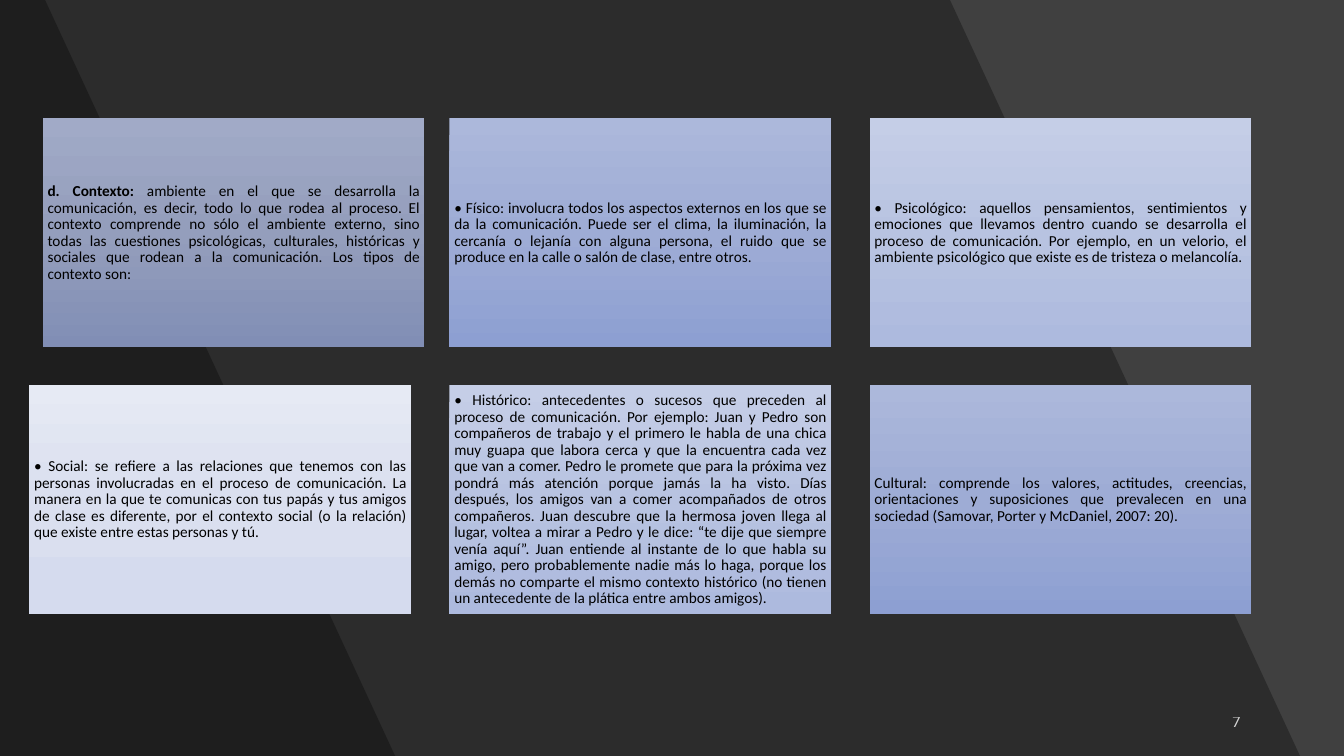
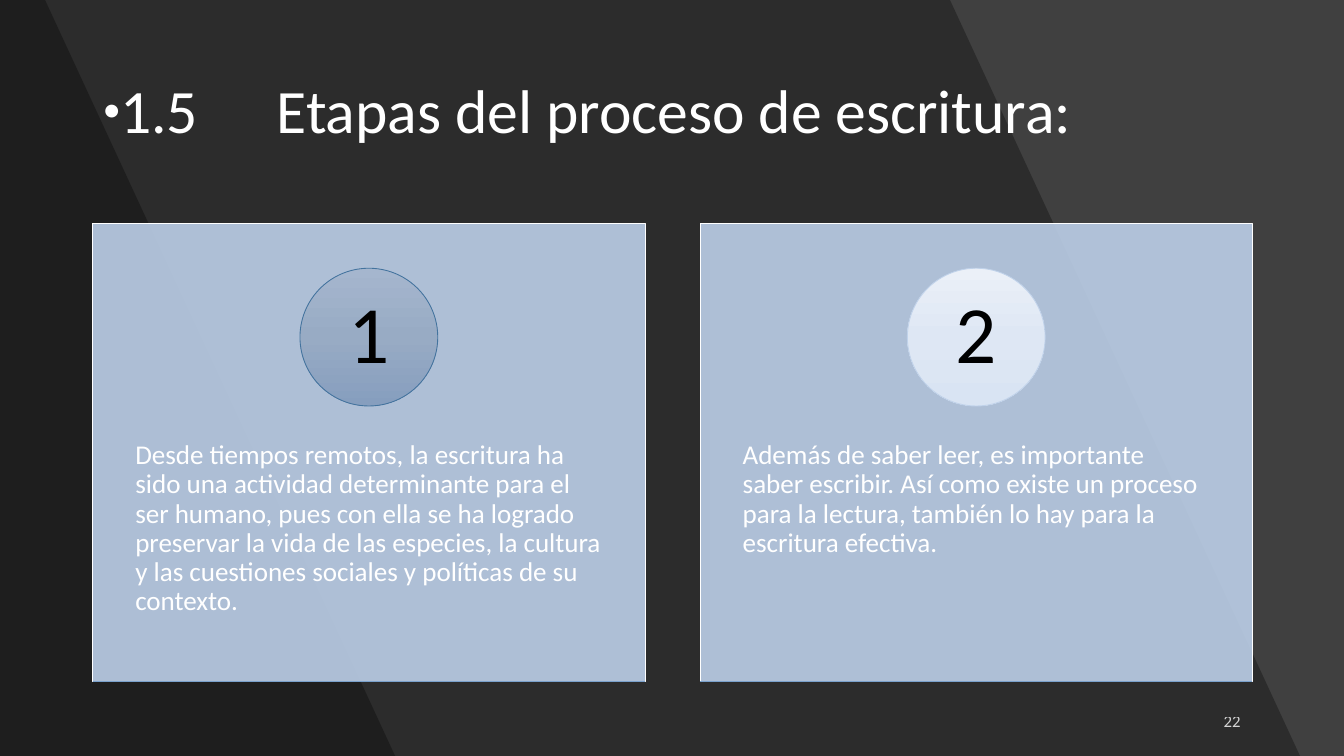
"""Builds two dark slides: context types and the stages of writing."""
from dataclasses import dataclass

from lxml import etree
from pptx import Presentation
from pptx import util as u
from pptx.dml.color import RGBColor
from pptx.enum import shapes, text
from pptx.oxml.ns import qn


@dataclass(frozen=True)
class Theme:
    font: str = "Calibri"
    back: str = "404040"
    white: str = "FFFFFF"
    black: str = "000000"
    panel: str = "BDD0E9"
    rule: str = "7AA1CC"
    title: float = 36.4
    digit: float = 48
    body: float = 16
    note: float = 9
    page: float = 9.9


T = Theme()
WIDE, HIGH = 11.02, 6.2
SLANT = 2.87
BANDS = (7.79, 0.37)
RIGHT = 10.27

SLATE = ("A1AAC7", "949EBC", "818EB5")
BLUE = ("ACB8DB", "9EACD5", "8D9FD2")
PALE = ("C5CEE7", "B8C3E1", "ADBADE")
MIST = ("E6EAF4", "DADFEF", "D5DBEE")

CARDS = [
    (SLATE, "d. Contexto: ", "ambiente en el que se desarrolla la comunicación, es decir, todo lo que rodea al proceso. El contexto comprende no sólo el ambiente externo, sino todas las cuestiones psicológicas, culturales, históricas y sociales que rodean a la comunicación. Los tipos de contexto son:"),
    (BLUE, "", "• Físico: involucra todos los aspectos externos en los que se da la comunicación. Puede ser el clima, la iluminación, la cercanía o lejanía con alguna persona, el ruido que se produce en la calle o salón de clase, entre otros."),
    (PALE, "", "• Psicológico: aquellos pensamientos, sentimientos y emociones que llevamos dentro cuando se desarrolla el proceso de comunicación. Por ejemplo, en un velorio, el ambiente psicológico que existe es de tristeza o melancolía."),
    (MIST, "", "• Social: se refiere a las relaciones que tenemos con las personas involucradas en el proceso de comunicación. La manera en la que te comunicas con tus papás y tus amigos de clase es diferente, por el contexto social (o la relación) que existe entre estas personas y tú."),
    (PALE, "", "• Histórico: antecedentes o sucesos que preceden al proceso de comunicación. Por ejemplo: Juan y Pedro son compañeros de trabajo y el primero le habla de una chica muy guapa que labora cerca y que la encuentra cada vez que van a comer. Pedro le promete que para la próxima vez pondrá más atención porque jamás la ha visto. Días después, los amigos van a comer acompañados de otros compañeros. Juan descubre que la hermosa joven llega al lugar, voltea a mirar a Pedro y le dice: “te dije que siempre venía aquí”. Juan entiende al instante de lo que habla su amigo, pero probablemente nadie más lo haga, porque los demás no comparte el mismo contexto histórico (no tienen un antecedente de la plática entre ambos amigos)."),
    (BLUE, "", "Cultural: comprende los valores, actitudes, creencias, orientaciones y suposiciones que prevalecen en una sociedad (Samovar, Porter y McDaniel, 2007: 20)."),
]
TITLE = "1.5\tEtapas del proceso de escritura:"
STAGES = [
    ("1", ("A5B6CE", "98ABC4", "869EBE"), "43739E", "Desde tiempos remotos, la escritura ha sido una actividad determinante para el ser humano, pues con ella se ha logrado preservar la vida de las especies, la cultura y las cuestiones sociales y políticas de su contexto."),
    ("2", ("EBF0F8", "DEE7F4", "D9E4F3"), "C0D2EA", "Además de saber leer, es importante saber escribir. Así como existe un proceso para la lectura, también lo hay para la escritura efectiva."),
]


def rgb(code):
    return RGBColor.from_string(code)


def inch(*nums):
    return [u.Inches(n) for n in nums]


def fade(item, share):
    """Sets the opacity of the solid colour in an element."""
    tone = next(item.iter(qn("a:srgbClr")))
    etree.SubElement(tone, qn("a:alpha"), val=str(share * 1000))


def paint(shape, fill, line=None, alpha=None):
    """Gives a shape a plain or three-stop fill and an optional line."""
    shape.shadow.inherit = False
    if isinstance(fill, str):
        shape.fill.solid()
        shape.fill.fore_color.rgb = rgb(fill)
        if alpha:
            fade(shape._element.spPr.find(qn("a:solidFill")), alpha)
    else:
        shape.fill.gradient()
        shape.fill.gradient_angle = 270
        stops = next(shape._element.spPr.iter(qn("a:gsLst")))
        for old in list(stops):
            stops.remove(old)
        for i, code in enumerate(fill):
            stop = etree.SubElement(stops, qn("a:gs"), pos=str(i * 50000))
            etree.SubElement(stop, qn("a:srgbClr"), val=code)
    if line:
        shape.line.color.rgb = rgb(line)
        shape.line.width = u.Pt(0.5)
    else:
        shape.line.fill.background()
    return shape


def write(shape, words, size, color=T.white, lead="", align="LEFT",
          anchor="MIDDLE", inset=(0.1, 0.05), alpha=None, gap=0.9, bullet=None):
    """Writes one formatted paragraph, with an optional bold lead."""
    frame = shape.text_frame
    frame.word_wrap = True
    frame.vertical_anchor = getattr(text.MSO_ANCHOR, anchor)
    frame.margin_left = frame.margin_right = u.Inches(inset[0])
    frame.margin_top = frame.margin_bottom = u.Inches(inset[1])
    para = frame.paragraphs[0]
    para.alignment = getattr(text.PP_ALIGN, align)
    para.line_spacing = gap
    if bullet:
        mark, share, stop = bullet
        props = para._p.get_or_add_pPr()
        props.set("marL", "0")
        props.set("indent", "0")
        etree.SubElement(props, qn("a:buSzPct"), val=str(share * 1000))
        etree.SubElement(props, qn("a:buFont"), typeface=T.font)
        etree.SubElement(props, qn("a:buChar"), char=mark)
        tabs = etree.SubElement(props, qn("a:tabLst"))
        etree.SubElement(tabs, qn("a:tab"), pos=str(u.Inches(stop)), algn="l")
    for part, bold in ((lead, True), (words, False)):
        if part:
            run = para.add_run()
            run.text = part
            run.font.name, run.font.size = T.font, u.Pt(size)
            run.font.bold = bold
            run.font.color.rgb = rgb(color)
            if alpha:
                fade(run._r, alpha)


def base(deck, page):
    """Adds a slide with its slanted bands and page number."""
    slide = deck.slides.add_slide(deck.slide_layouts[6])
    slide.background.fill.solid()
    slide.background.fill.fore_color.rgb = rgb(T.back)
    for top in BANDS:
        pen = slide.shapes.build_freeform(0, 0)
        ends = [(top, 0), (top + SLANT, HIGH), (0, HIGH)]
        pen.add_line_segments([inch(*end) for end in ends], close=True)
        paint(pen.convert_to_shape(), T.black, alpha=30)
    box = slide.shapes.add_textbox(*inch(RIGHT - 2.48, 5.75, 2.48, 0.33))
    write(box, page, T.page, align="RIGHT", alpha=80, gap=1)
    return slide.shapes


def types(deck):
    """Lays out the context cards in a grid of three columns."""
    area = base(deck, "7")
    wide, high = 3.13, 1.88
    for i, (fill, lead, words) in enumerate(CARDS):
        row, col = divmod(i, 3)
        left = 0.24 + col * 3.445 + (0.11 if lead else 0)
        spot = inch(left, 0.97 + row * 2.19, wide, high)
        card = area.add_shape(shapes.MSO_SHAPE.RECTANGLE, *spot)
        write(paint(card, fill), words, T.note, T.black, lead=lead,
              align="JUSTIFY", inset=(0.04, 0.04))


def stages(deck):
    """Lays out the title and one numbered panel for each stage."""
    area = base(deck, "22")
    write(area.add_textbox(*inch(0.75, 0.33, 9.51, 1.2)), TITLE, T.title,
          bullet=("●", 45, 1.42))
    wide, high, top, disc = 4.53, 3.76, 1.83, 1.13
    foot = top + high
    for i, (digit, fill, edge, words) in enumerate(STAGES):
        left = 0.76 + i * 4.98
        panel = area.add_shape(shapes.MSO_SHAPE.RECTANGLE, *inch(left, top, wide, high))
        paint(panel, T.panel, T.white, 90)
        box = area.add_textbox(*inch(left, 3.26, wide, 2.25))
        write(box, words, T.body, anchor="TOP", inset=(0.35, 0.36))
        spot = inch(left + (wide - disc) / 2, 2.2, disc, disc)
        badge = area.add_shape(shapes.MSO_SHAPE.OVAL, *spot)
        write(paint(badge, fill, edge), digit, T.digit, T.black,
              align="CENTER", inset=(0.09, 0.01))
        rule = area.add_connector(shapes.MSO_CONNECTOR.STRAIGHT,
                                  *inch(left, foot, left + wide, foot))
        rule.line.color.rgb = rgb(T.rule)
        rule.line.width = u.Pt(0.5)
        etree.SubElement(rule._element.spPr, qn("a:effectLst"))


def main():
    """Builds and saves the deck."""
    deck = Presentation()
    deck.slide_width, deck.slide_height = inch(WIDE, HIGH)
    types(deck)
    stages(deck)
    deck.save("out.pptx")


if __name__ == "__main__":
    main()
